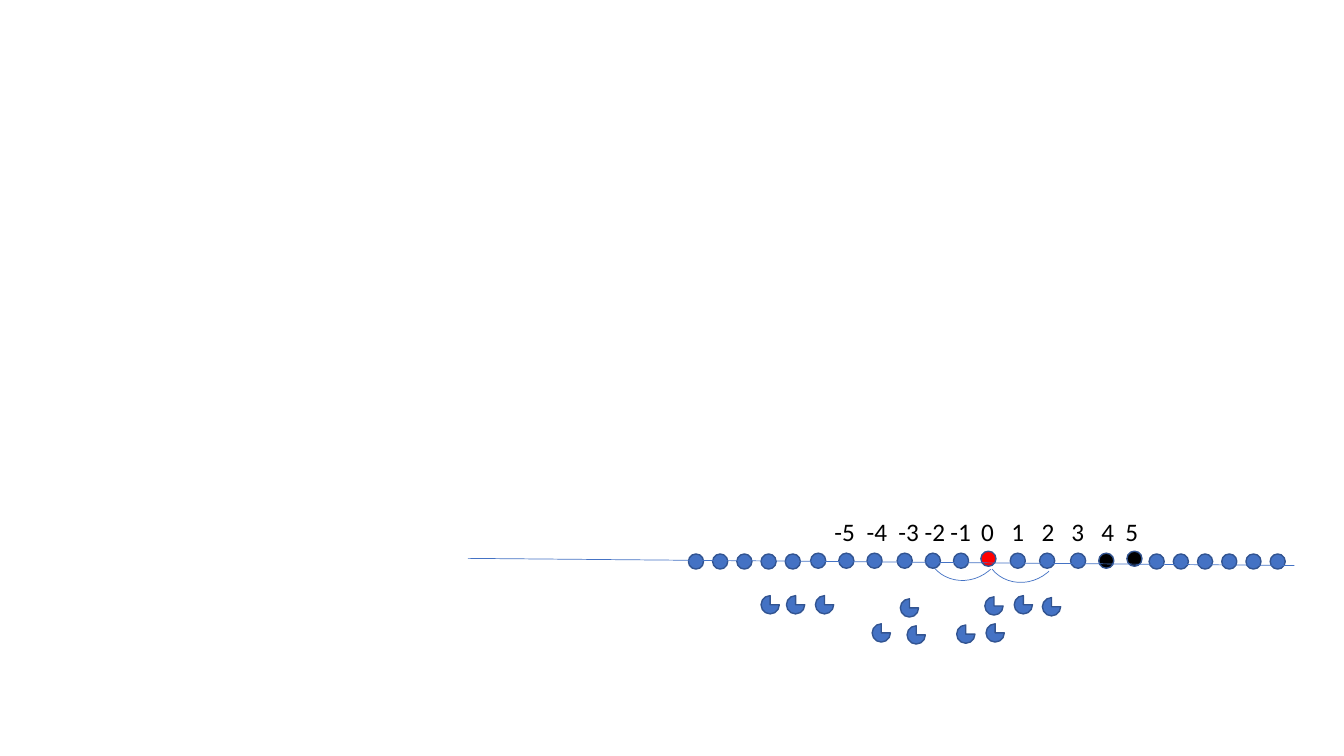
from collections import namedtuple
from dataclasses import dataclass

from lxml import etree
from pptx import Presentation
from pptx import util as u
from pptx.dml.color import RGBColor
from pptx.enum import shapes, text
from pptx.oxml import ns

Cm, Pt = u.Cm, u.Pt
Box = namedtuple("Box", "left top width height")


@dataclass(frozen=True)
class Theme:
    font: str = "Calibri"
    label_size: float = 18
    thin: float = 0.5
    outline: float = 1
    blue: str = "4472C4"
    edge: str = "325491"
    red: str = "FF0000"
    black: str = "000000"


THEME = Theme()
DOT = 0.38
MARKER = 0.46
ARC = (2.03, 1.9)
ARC_START = 159.69

END_RUNS = [(5.56, 5, 0.61), (17.17, 6, 0.61)]
CORE_RUNS = [(8.64, 3, 0.71), (10.82, 3, 0.71), (12.93, 3, 0.74), (15.19, 3, 0.71)]
ZERO, FOUR, FIVE = 6, 10, 11
SPECIAL = {ZERO: THEME.red, FOUR: THEME.black, FIVE: THEME.black}
RAISED = {ZERO, FIVE}

MARKERS = [
    (7.39, 2.31), (8.03, 2.31), (8.76, 2.31), (10.9, 2.39),
    (13.03, 2.34), (13.77, 2.31), (14.48, 2.36),
    (10.19, 3.02), (11.07, 3.07), (12.32, 3.05), (13.06, 3.02),
]
HOPS = [(12.98, 0.05, 140.7), (11.51, 0, 140.8)]
TAB_STOPS = [1.07, 1.87, 2.53, 3.18, 3.86, 4.62, 5.38, 6.13, 6.89, 7.49]


def add_preset(parent, kind, box, x, y, w, h, fill, line, weight):
    sp = parent.add_shape(kind, Cm(box.left + x), Cm(box.top + y), Cm(w), Cm(h))
    sp.shadow.inherit = False
    if fill:
        sp.fill.solid()
        sp.fill.fore_color.rgb = RGBColor.from_string(fill)
    else:
        sp.fill.background()
    sp.line.color.rgb = RGBColor.from_string(line)
    sp.line.width = Pt(weight)
    return sp


def add_dot(parent, box, x, y, fill):
    add_preset(parent, shapes.MSO_SHAPE.OVAL, box, x, y, DOT, DOT,
               fill, THEME.edge, THEME.outline)


def run_positions(run):
    start, count, step = run
    return [start + i * step for i in range(count)]


def add_hops(s, box):
    for x, y, angle in HOPS:
        sp = add_preset(s.shapes, shapes.MSO_SHAPE.ARC, box, x, y, *ARC,
                        None, THEME.blue, THEME.thin)
        sp.adjustments[0] = ARC_START
        sp.adjustments[1] = 0
        sp.rotation = angle


def add_dots(s, box):
    core = [x for run in CORE_RUNS for x in run_positions(run)]
    for i, x in enumerate(core):
        y = 1.19 if i in RAISED else 1.24
        add_dot(s.shapes, box, x, y, SPECIAL.get(i, THEME.blue))
    for run in END_RUNS:
        group = s.shapes.add_group_shape()
        for x in run_positions(run):
            add_dot(group.shapes, box, x, 1.26, THEME.blue)


def add_markers(s, box):
    for x, y in MARKERS:
        add_preset(s.shapes, shapes.MSO_SHAPE.PIE, box, x, y, MARKER, MARKER,
                   THEME.blue, THEME.edge, THEME.outline)


def add_labels(s, box):
    sp = s.shapes.add_textbox(Cm(box.left + 8.99), Cm(box.top + 0.18), Cm(9.75), Cm(1.02))
    tf = sp.text_frame
    tf.word_wrap = True
    tf.auto_size = text.MSO_AUTO_SIZE.SHAPE_TO_FIT_TEXT
    p = tf.paragraphs[0]
    tabs = etree.SubElement(p._p.get_or_add_pPr(), ns.qn("a:tabLst"))
    for stop in TAB_STOPS:
        etree.SubElement(tabs, ns.qn("a:tab"), pos=str(Cm(stop)), algn="ctr")
    r = p.add_run()
    r.text = "\t".join(str(n) for n in range(-5, 6))
    r.font.name = THEME.font
    r.font.size = Pt(THEME.label_size)
    r.font.color.rgb = RGBColor.from_string(THEME.black)


def add_axis(s, box):
    axis = s.shapes.add_connector(
        shapes.MSO_CONNECTOR.STRAIGHT, Cm(box.left), Cm(box.top + 1.37),
        Cm(box.left + box.width), Cm(box.top + 1.55))
    axis.line.color.rgb = RGBColor.from_string(THEME.blue)
    axis.line.width = Pt(THEME.thin)
    etree.SubElement(axis._element.spPr, ns.qn("a:effectLst"))


def add_number_line(s, box):
    add_hops(s, box)
    add_dots(s, box)
    add_markers(s, box)
    add_labels(s, box)
    add_axis(s, box)


def main():
    prs = Presentation()
    prs.slide_width, prs.slide_height = Cm(33.87), Cm(19.05)
    s = prs.slides.add_slide(prs.slide_layouts[6])
    add_number_line(s, Box(11.79, 12.7, 20.83, 3.53))
    prs.save("out.pptx")


if __name__ == "__main__":
    main()
